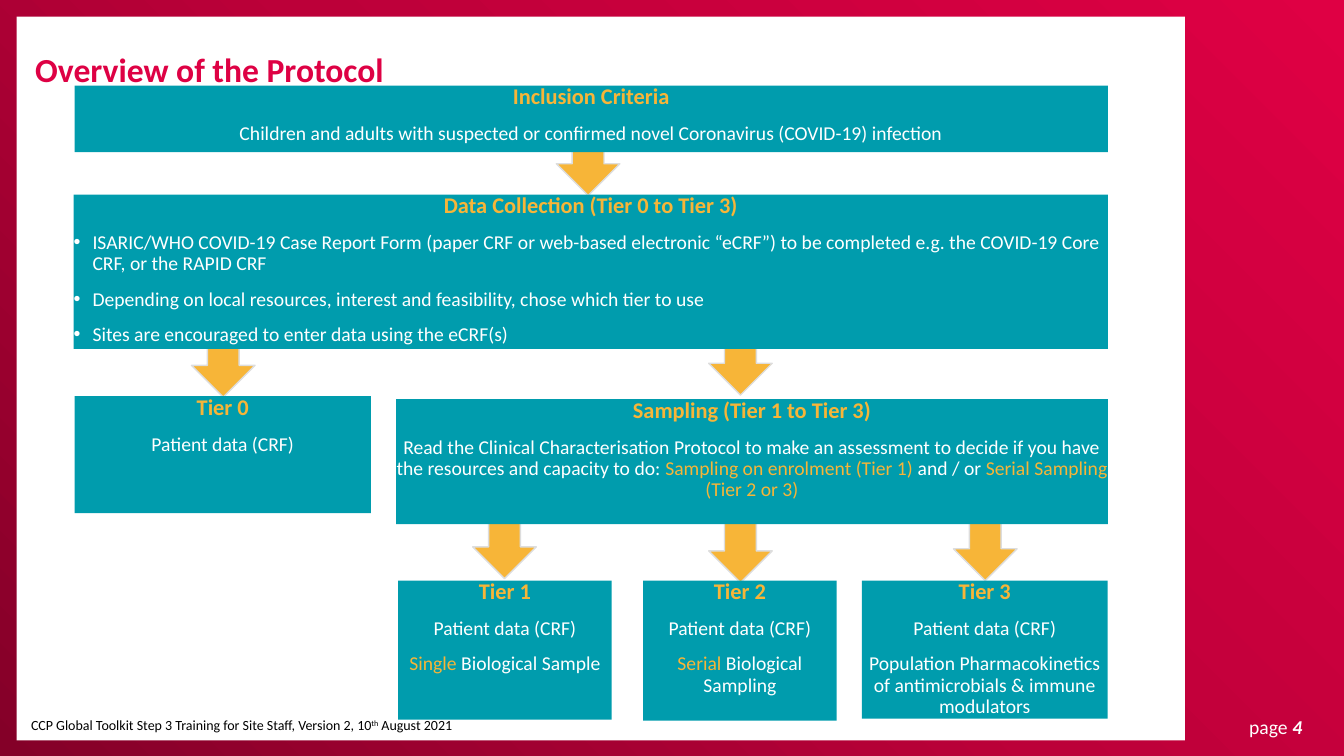
from copy import deepcopy
from dataclasses import dataclass

from lxml import etree
from pptx import Presentation
from pptx.dml.color import RGBColor
from pptx.enum.shapes import MSO_SHAPE
from pptx.enum.text import MSO_ANCHOR, PP_ALIGN
from pptx.oxml.ns import qn
from pptx.util import Pt

RECTANGLE = MSO_SHAPE.RECTANGLE
DOWN_ARROW = MSO_SHAPE.DOWN_ARROW
LEFT, CENTER = PP_ALIGN.LEFT, PP_ALIGN.CENTER
TOP, MIDDLE = MSO_ANCHOR.TOP, MSO_ANCHOR.MIDDLE

FONT = "Calibri"
TEAL, GOLD, WHITE, BLACK = "009CAD", "F7B538", "FFFFFF", "000000"
TITLE_RED, ARROW_EDGE = "DE0144", "DDDDDD"
GRADIENT = ("840028", "BC0039", "DF0044")
SLIDE_WIDTH, SLIDE_HEIGHT = 960, 540
RIGHT_EDGE = 791.3
ARROW_WIDTH = 45.4


@dataclass
class Span:
    text: str
    color: str = ""


@dataclass
class Line:
    spans: list[Span]
    bullet: bool = False


@dataclass
class Box:
    left: float
    top: float
    right: float
    height: float
    heading: str
    lines: list[Line]


@dataclass
class Arrow:
    left: float
    top: float
    height: float


def plain(text: str, bullet: bool = False) -> Line:
    return Line([Span(text)], bullet)


PATIENT_DATA = plain("Patient data (CRF)")

ARROWS = [
    Arrow(337.7, 346.3, 67),
    Arrow(681.1, 353.5, 61.2),
    Arrow(506.2, 349.2, 67),
    Arrow(136.8, 222.5, 61.2),
    Arrow(506.2, 221, 61.2),
    Arrow(397.4, 78.5, 61.2),
]

BOXES = [
    Box(53.3, 283, 265, 83.5, "Tier 0", [PATIENT_DATA]),
    Box(53.3, 61.2, RIGHT_EDGE, 47.5, "Inclusion Criteria", [
        plain("Children and adults with suspected or confirmed novel "
              "Coronavirus (COVID-19) infection"),
    ]),
    Box(283, 285.1, RIGHT_EDGE, 89.3, "Sampling (Tier 1 to Tier 3)", [
        Line([
            Span("Read the Clinical Characterisation Protocol to make an assessment to "
                 "decide if you have the resources and capacity to do: "),
            Span("Sampling on enrolment (Tier 1) ", GOLD),
            Span("and / or "),
            Span("Serial Sampling (Tier 2 or 3)", GOLD),
        ]),
    ]),
    Box(52.6, 139, RIGHT_EDGE, 110.2, "Data Collection (Tier 0 to Tier 3)", [
        plain("ISARIC/WHO COVID-19 Case Report Form (paper CRF or web-based electronic "
              "“eCRF”) to be completed e.g. the COVID-19 Core CRF, or the RAPID CRF", True),
        plain("Depending on local resources, interest and feasibility, "
              "chose which tier to use", True),
        plain("Sites are encouraged to enter data using the eCRF(s)", True),
    ]),
    Box(284.4, 414.7, 437, 99.4, "Tier 1", [
        PATIENT_DATA,
        Line([Span("Single", GOLD), Span(" Biological Sample")]),
    ]),
    Box(459.4, 414.7, 597.6, 100.1, "Tier 2", [
        PATIENT_DATA,
        Line([Span("Serial", GOLD), Span(" Biological Sampling")]),
    ]),
    Box(615.6, 414.7, RIGHT_EDGE, 98.6, "Tier 3", [
        PATIENT_DATA,
        plain("Population Pharmacokinetics of antimicrobials & immune modulators"),
    ]),
]


def rgb(color: str) -> RGBColor:
    return RGBColor.from_string(color)


def add_preset(slide, kind, left: float, top: float, width: float, height: float,
               fill: str, edge: str = ""):
    shape = slide.shapes.add_shape(kind, Pt(left), Pt(top), Pt(width), Pt(height))
    shape.shadow.inherit = False
    shape.fill.solid()
    shape.fill.fore_color.rgb = rgb(fill)
    if edge:
        shape.line.color.rgb = rgb(edge)
        shape.line.width = Pt(1)
    else:
        shape.line.fill.background()
    return shape


def prepare_frame(shape, anchor=TOP):
    frame = shape.text_frame
    frame.word_wrap = True
    frame.vertical_anchor = anchor
    frame.margin_left = frame.margin_right = frame.margin_top = frame.margin_bottom = 0
    return frame


def add_label(slide, left: float, top: float, width: float, height: float):
    return slide.shapes.add_textbox(Pt(left), Pt(top), Pt(width), Pt(height))


def add_bullet(paragraph) -> None:
    properties = paragraph._p.get_or_add_pPr()
    properties.set("marL", str(Pt(13.5)))
    properties.set("indent", str(Pt(-13.5)))
    etree.SubElement(properties, qn("a:buFont")).set("typeface", "Arial")
    etree.SubElement(properties, qn("a:buChar")).set("char", "•")


def write(paragraph, spans: list[Span], size: float, color: str, bold: bool = False,
          alignment=LEFT) -> list:
    paragraph.alignment = alignment
    paragraph.font.name = FONT
    paragraph.font.size = Pt(size)
    paragraph.font.bold = bold
    paragraph.font.color.rgb = rgb(color)
    runs = []
    for span in spans:
        run = paragraph.add_run()
        run.text = span.text
        if span.color:
            run.font.color.rgb = rgb(span.color)
        runs.append(run)
    return runs


def add_box(slide, box: Box) -> None:
    shape = add_preset(slide, RECTANGLE, box.left, box.top,
                       box.right - box.left, box.height, TEAL)
    frame = prepare_frame(shape)
    write(frame.paragraphs[0], [Span(box.heading)], 16, GOLD, True, CENTER)
    for line in box.lines:
        paragraph = frame.add_paragraph()
        if line.bullet:
            add_bullet(paragraph)
        write(paragraph, line.spans, 14, WHITE, alignment=LEFT if line.bullet else CENTER)
    for paragraph in frame.paragraphs:
        paragraph.line_spacing = 0.9
        paragraph.space_before = Pt(10)


def add_backdrop(slide) -> None:
    backdrop = add_preset(slide, RECTANGLE, 0, 0, SLIDE_WIDTH, SLIDE_HEIGHT, GRADIENT[0])
    backdrop.fill.gradient()
    backdrop.fill.gradient_angle = 45
    stop_list = backdrop._element.spPr.find(qn("a:gradFill")).find(qn("a:gsLst"))
    stop_list.insert(1, deepcopy(stop_list[0]))
    for index, (stop, color) in enumerate(zip(backdrop.fill.gradient_stops, GRADIENT)):
        stop.position = index / 2
        stop.color.rgb = rgb(color)
    add_preset(slide, RECTANGLE, 11.9, 11.9, 834.5, 517, WHITE)


def main() -> None:
    presentation = Presentation()
    presentation.slide_width, presentation.slide_height = Pt(SLIDE_WIDTH), Pt(SLIDE_HEIGHT)
    slide = presentation.slides.add_slide(presentation.slide_layouts[6])
    add_backdrop(slide)

    # Flow chart: the boxes cover the arrow tails
    for arrow in ARROWS:
        add_preset(slide, DOWN_ARROW, arrow.left, arrow.top, ARROW_WIDTH, arrow.height,
                   GOLD, ARROW_EDGE)
    for box in BOXES:
        add_box(slide, box)

    # Title
    title = prepare_frame(add_label(slide, 25.2, -8.6, 506.2, 42.5)).paragraphs[0]
    title.line_spacing = Pt(72)
    title.space_before = Pt(10)
    write(title, [Span("Overview of the Protocol")], 24, TITLE_RED, True)

    # Page number
    page = prepare_frame(add_label(slide, 873.4, 508.3, 75.6, 20.9), MIDDLE).paragraphs[0]
    number = write(page, [Span("page "), Span("4")], 14, WHITE, alignment=CENTER)[1]
    number.font.bold = number.font.italic = True

    # Footer
    footer = add_label(slide, 15.1, 508.3, 329, 19.4).text_frame
    footer.word_wrap = True
    version = [Span("CCP Global Toolkit Step 3 Training for Site Staff, Version 2, 10"),
               Span("th"), Span(" August 2021")]
    ordinal = write(footer.paragraphs[0], version, 10, BLACK)[1]
    ordinal._r.get_or_add_rPr().set("baseline", "30000")

    presentation.save("out.pptx")


if __name__ == "__main__":
    main()
